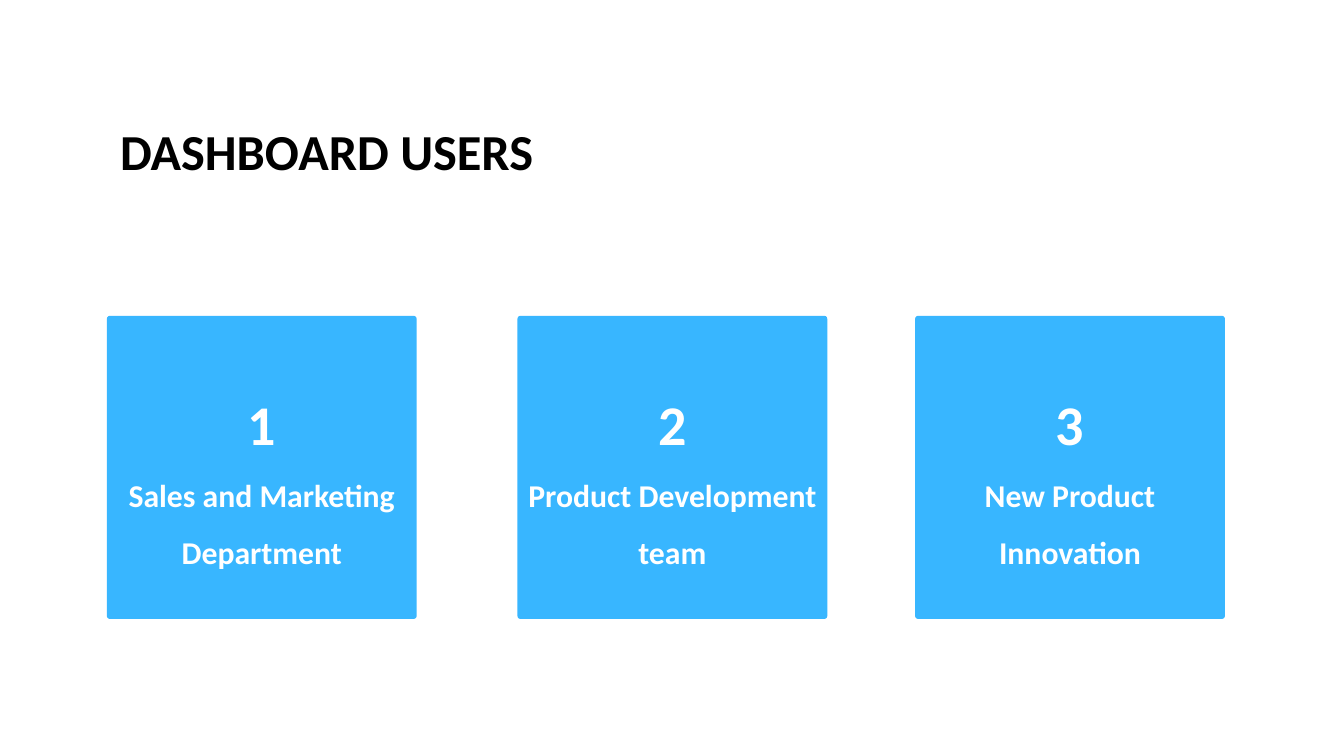
from pptx import Presentation
from pptx.dml.color import RGBColor
from pptx.enum.shapes import MSO_SHAPE
from pptx.enum.text import MSO_ANCHOR, PP_ALIGN
from pptx.util import Cm, Pt

ROUNDED = MSO_SHAPE.ROUNDED_RECTANGLE
TOP, MIDDLE = MSO_ANCHOR.TOP, MSO_ANCHOR.MIDDLE
LEFT, CENTER = PP_ALIGN.LEFT, PP_ALIGN.CENTER

HEADING = "DASHBOARD USERS"
USERS = [
    (4.04, "Sales and Marketing Department"),
    (19.56, "Product Development team"),
    (34.59, "New Product Innovation"),
]
FONT = "Calibri"
BLUE, WHITE, BLACK = "38B6FF", "FFFFFF", "000000"
CARD_TOP, CARD_WIDTH, CARD_HEIGHT = 11.94, 11.71, 11.46


def color(value):
    return RGBColor.from_string(value)


def write(frame, lines, ink, align, anchor, spacing, insets):
    frame.word_wrap = True
    frame.vertical_anchor = anchor
    (frame.margin_left, frame.margin_top,
     frame.margin_right, frame.margin_bottom) = map(Cm, insets)
    for i, (words, size) in enumerate(lines):
        paragraph = frame.add_paragraph() if i else frame.paragraphs[0]
        paragraph.text = words
        paragraph.alignment = align
        paragraph.line_spacing = spacing
        paragraph.font.name = FONT
        paragraph.font.size = Pt(size)
        paragraph.font.bold = True
        paragraph.font.color.rgb = color(ink)


def add_user_card(slide, left, number, user):
    card = slide.shapes.add_shape(
        ROUNDED, Cm(left), Cm(CARD_TOP), Cm(CARD_WIDTH), Cm(CARD_HEIGHT))
    card.adjustments[0] = 0.01
    card.shadow.inherit = False
    card.fill.solid()
    card.fill.fore_color.rgb = color(BLUE)
    card.line.fill.background()
    write(card.text_frame, [(str(number), 60), (user, 34)],
          WHITE, CENTER, MIDDLE, 1.5, (0.14, 0.14, 0.14, 0.45))


def main():
    deck = Presentation()
    deck.slide_width, deck.slide_height = Cm(50.8), Cm(28.58)
    slide = deck.slides.add_slide(deck.slide_layouts[6])

    for number, (left, user) in enumerate(USERS, 1):
        add_user_card(slide, left, number, user)

    heading = slide.shapes.add_textbox(Cm(4.29), Cm(4.42), Cm(42.24), Cm(2.46))
    write(heading.text_frame, [(HEADING, 54)],
          BLACK, LEFT, TOP, 1.0, (0.25, 0.13, 0.25, 0.13))

    deck.save("out.pptx")


if __name__ == "__main__":
    main()
